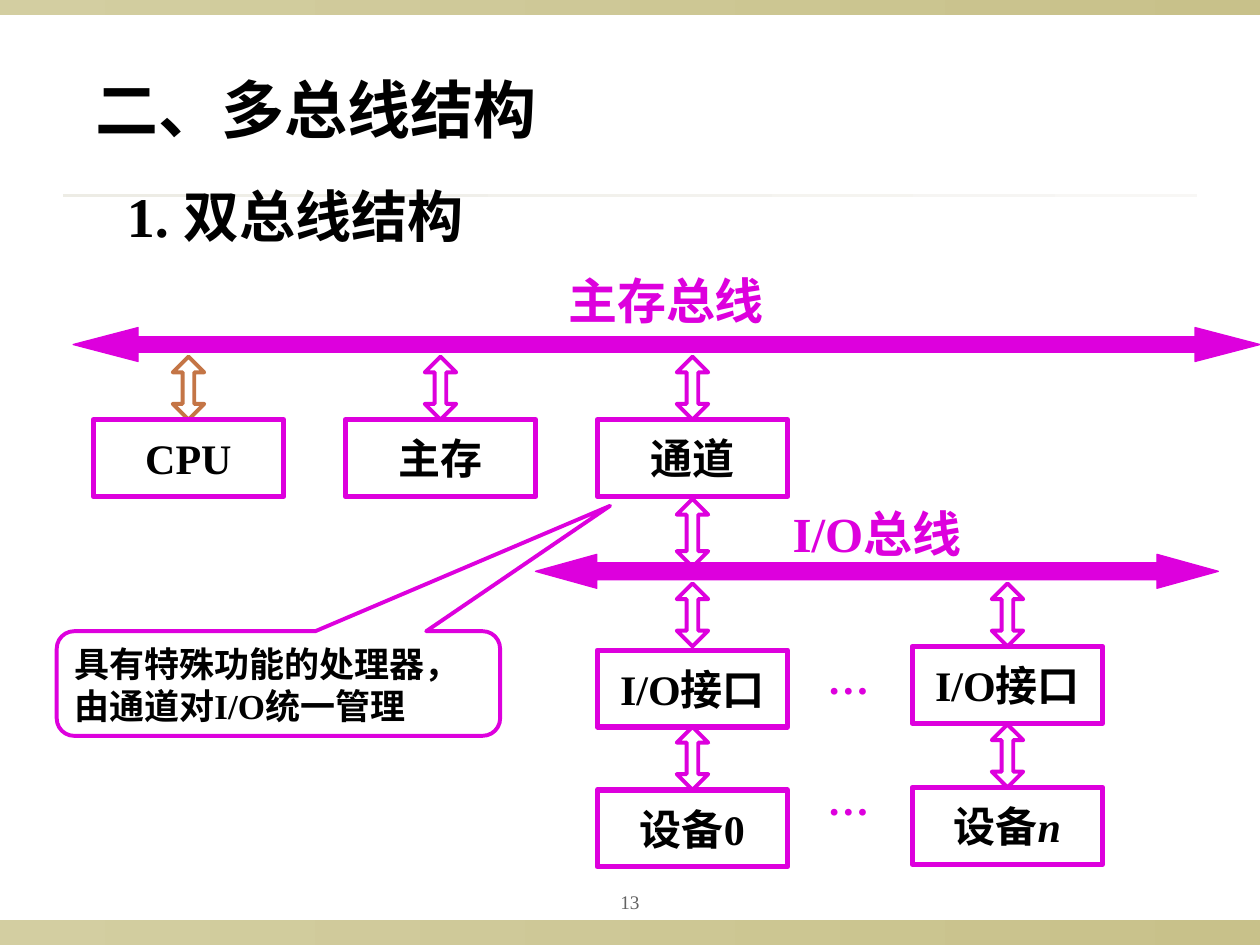
"""Build the slide on the dual-bus structure."""
from lxml import etree
from pptx import Presentation
from pptx.dml.color import RGBColor
from pptx.enum import shapes as sh, text as tx
from pptx.oxml.ns import qn
from pptx.util import Pt

PINK = RGBColor(0xDD, 0x00, 0xDD)
BROWN = RGBColor(0xC4, 0x75, 0x46)
BLACK = RGBColor(0, 0, 0)
WHITE = RGBColor(255, 255, 255)
GRAY = RGBColor(0x63, 0x63, 0x63)
SAND = RGBColor(0xD3, 0xCE, 0xA1)
OLIVE = RGBColor(0xC8, 0xC1, 0x8A)
PALE = RGBColor(0xED, 0xEC, 0xE5)
MIST = RGBColor(0xF8, 0xF7, 0xF5)
LATIN, HAN = "Times New Roman", "Noto Sans CJK SC"
KIND = sh.MSO_SHAPE
LEFT, MID = tx.PP_ALIGN.LEFT, tx.PP_ALIGN.CENTER


def draw(kind, x, y, w, h, line=PINK, width=3, fill=None, adjust=()):
    shape = slide.shapes.add_shape(kind, Pt(x), Pt(y), Pt(w), Pt(h))
    shape.shadow.inherit = False
    if fill is None:
        shape.fill.background()
    else:
        shape.fill.solid()
        shape.fill.fore_color.rgb = fill
    if line is None:
        shape.line.fill.background()
    else:
        shape.line.color.rgb = line
        shape.line.width = Pt(width)
    for i, value in enumerate(adjust):
        shape.adjustments[i] = value
    return shape


def write(shape, words, size, color=BLACK, align=LEFT, wrap=True, bold=True,
          pad=(7.2, 3.6), anchor=tx.MSO_ANCHOR.TOP):
    frame = shape.text_frame
    frame.text = words
    frame.word_wrap = wrap
    frame.auto_size = tx.MSO_AUTO_SIZE.NONE
    frame.vertical_anchor = anchor
    frame.margin_left = frame.margin_right = Pt(pad[0])
    frame.margin_top = frame.margin_bottom = Pt(pad[1])
    for para in frame.paragraphs:
        para.alignment = align
        font = para.font
        font.name, font.size, font.bold = LATIN, Pt(size), bold
        font.color.rgb = color
        mark = para._p.pPr.find(qn("a:defRPr"))
        etree.SubElement(mark, qn("a:ea")).set("typeface", HAN)
    return frame


deck = Presentation()
deck.slide_width, deck.slide_height = Pt(720), Pt(540)
slide = deck.slides.add_slide(deck.slide_layouts[5])

for x, y, w, h, start, end in [
    (0, 525.6, 720, 14.4, SAND, OLIVE),
    (0, 0, 720, 8.64, SAND, OLIVE),
    (36, 110.9, 648, 1.44, PALE, MIST),
]:
    band = draw(KIND.RECTANGLE, x, y, w, h, line=None)
    band.fill.gradient()
    band.fill.gradient_angle = 0
    for stop, color in zip(band.fill.gradient_stops, (start, end)):
        stop.color.rgb = color

title = slide.shapes.title
title.left, title.top, title.width, title.height = Pt(47.5), Pt(36.7), Pt(290), Pt(50.4)
write(title, "二、多总线结构", 36)

note = draw(KIND.ROUNDED_RECTANGULAR_CALLOUT, 32.4, 360.7, 253.4, 59.8,
            width=2.25, adjust=(0.748, -1.698, 0.167))
write(note, "具有特殊功能的处理器，\n由通道对I/O统一管理", 20, wrap=False)

cols = [53.3 + 144 * i for i in range(3)] + [521.3]
for col, y, h, line in [
    (0, 203.8, 36, BROWN), (1, 203.8, 36, PINK), (2, 203.8, 36, PINK),
    (2, 285.1, 38.9, PINK), (2, 333.4, 36, PINK), (3, 333.4, 36, PINK),
    (2, 415.4, 36, PINK), (3, 414, 36, PINK),
]:
    draw(KIND.UP_DOWN_ARROW, cols[col] + 45.4, y, 18, h, line, 2.25,
         WHITE if line == BROWN else None, (0.55, 0.37))

for col, y, words in [
    (0, 239.8, "CPU"), (1, 239.8, "主存"), (2, 239.8, "通道"),
    (2, 371.5, "I/O接口"), (3, 369.4, "I/O接口"),
    (2, 451.4, "设备0"), (3, 450, "设备"),
]:
    box = draw(KIND.RECTANGLE, cols[col], y, 108.8, 43.9)
    frame = write(box, words, 24, align=MID, wrap=False,
                  anchor=tx.MSO_ANCHOR.MIDDLE)
    if words == "设备":
        run = frame.paragraphs[0].add_run()
        run.text = "n"
        run.font.italic = True

for x, w, y, ratio, head in [(41.8, 678.2, 187.2, 0.458, 1.914),
                             (306, 390.2, 316.8, 0.5, 1.808)]:
    draw(KIND.LEFT_RIGHT_ARROW, x, y, w, 19.4, PINK, 0.75, PINK, (ratio, head))

for words, x, y, w, h, size, color, pad in [
    ("1. 双总线结构", 65.5, 100.1, 213.8, 46.1, 32, BLACK, (7.2, 3.6)),
    ("主存总线", 324.7, 154.8, 191.5, 33.8, 28, PINK, (0, 0)),
    ("I/O总线", 452.9, 288, 159.1, 33.8, 28, PINK, (0, 0)),
    ("…", 465.8, 369.4, 38.2, 36, 24, PINK, (7.2, 3.6)),
    ("…", 465.8, 438.5, 38.2, 36, 24, PINK, (7.2, 3.6)),
]:
    label = slide.shapes.add_textbox(Pt(x), Pt(y), Pt(w), Pt(h))
    write(label, words, size, color, pad=pad, wrap=pad[0] == 0)

page = slide.shapes.add_textbox(Pt(324), Pt(504), Pt(72), Pt(22.3))
write(page, "13", 11, GRAY, MID, bold=False, pad=(3.6, 3.6),
      anchor=tx.MSO_ANCHOR.MIDDLE)

deck.save("out.pptx")
